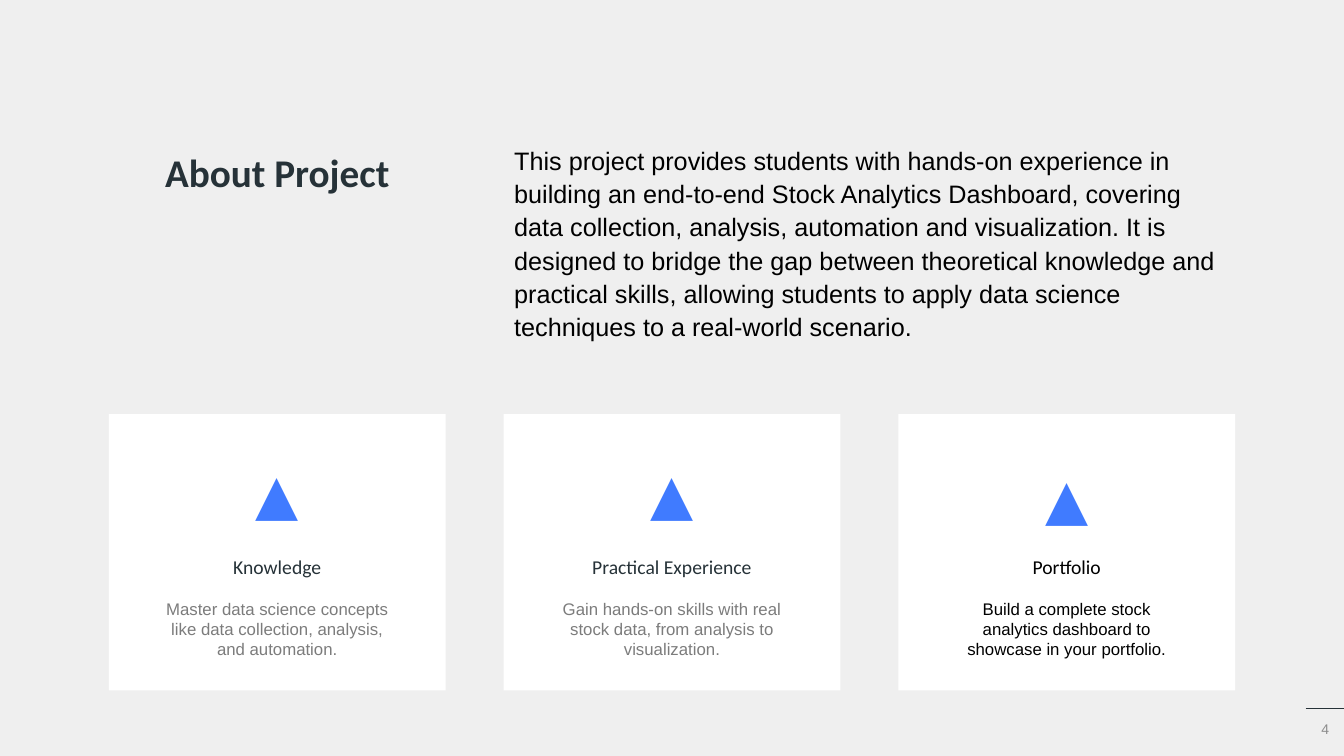
"""Build the "About Project" slide with three outcome cards."""
from dataclasses import dataclass

from lxml import etree
from pptx import Presentation
from pptx.dml import color
from pptx.enum import shapes, text
from pptx.oxml import ns
from pptx.util import Inches, Pt


@dataclass(frozen=True)
class Theme:
    backdrop: str = "EFEFEF"
    card: str = "FFFFFF"
    accent: str = "407BFF"
    heading: str = "263238"
    muted: str = "7C7C7C"
    number: str = "8C8C8C"
    black: str = "000000"
    heading_font: str = "Calibri"
    body_font: str = "Arial"
    title_size: int = 28
    intro_size: int = 18
    icon_size: int = 40
    label_size: int = 14
    detail_size: int = 12
    number_size: int = 10


theme = Theme()
rgb = color.RGBColor.from_string
align = text.PP_ALIGN


def style(paragraph, font, size, tint, alignment, bold=False, spacing=1.0):
    paragraph.alignment = alignment
    paragraph.line_spacing = spacing
    for run in paragraph.runs:
        run.font.name = font
        run.font.size = Pt(size)
        run.font.bold = bold
        run.font.color.rgb = rgb(tint)


def place(shape, left, top, width, height, anchor=text.MSO_ANCHOR.TOP):
    shape.left, shape.top = Inches(left), Inches(top)
    shape.width, shape.height = Inches(width), Inches(height)
    frame = shape.text_frame
    frame.word_wrap = True
    frame.auto_size = text.MSO_AUTO_SIZE.NONE
    frame.vertical_anchor = anchor
    return frame


deck = Presentation()
deck.slide_width, deck.slide_height = Inches(13.33), Inches(7.5)
slide = deck.slides.add_slide(deck.slide_layouts[1])
slide.background.fill.solid()
slide.background.fill.fore_color.rgb = rgb(theme.backdrop)

title = place(slide.shapes.title, 1.24, 1.36, 3.02, 0.75, text.MSO_ANCHOR.MIDDLE)
title.text = "About Project"
style(title.paragraphs[0], theme.heading_font, theme.title_size, theme.heading,
      align.CENTER, bold=True, spacing=0.9)

intro = place(slide.placeholders[1], 5, 1.36, 7.25, 2.29)
intro.text = (
    "This project provides students with hands-on experience in building an "
    "end-to-end Stock Analytics Dashboard, covering data collection, analysis, "
    "automation and visualization. It is designed to bridge the gap between "
    "theoretical knowledge and practical skills, allowing students to apply data "
    "science techniques to a real-world scenario."
)
summary = intro.paragraphs[0]
style(summary, theme.body_font, theme.intro_size, theme.black, align.LEFT, spacing=1.1)
summary.space_before = summary.space_after = Pt(6)
summary_format = summary._p.get_or_add_pPr()
summary_format.set("marL", "0")
summary_format.set("indent", "0")
etree.SubElement(summary_format, ns.qn("a:buNone"))

outcomes = [
    ("Knowledge",
     "Master data science concepts like data collection, analysis, and automation.",
     theme.heading, theme.muted, 4.58),
    ("Practical Experience",
     "Gain hands-on skills with real stock data, from analysis to visualization.",
     theme.heading, theme.muted, 4.58),
    ("Portfolio",
     "Build a complete stock analytics dashboard to showcase in your portfolio.",
     theme.black, theme.black, 4.62),
]
cards_left, cards_right, card_width = 1.08, 12.25, 3.34
card_step = (cards_right - cards_left - card_width) / (len(outcomes) - 1)
icon_width, caption_width = 1.14, 2.41

for index, (label, detail, label_tint, detail_tint, icon_top) in enumerate(outcomes):
    card_left = cards_left + index * card_step
    center = card_left + card_width / 2

    card = slide.shapes.add_shape(
        shapes.MSO_SHAPE.RECTANGLE,
        Inches(card_left), Inches(4.11), Inches(card_width), Inches(2.74))
    card.shadow.inherit = False
    card.fill.solid()
    card.fill.fore_color.rgb = rgb(theme.card)
    card.line.fill.background()

    icon = place(slide.shapes.add_textbox(0, 0, 0, 0),
                 center - icon_width / 2, icon_top, icon_width, 0.84)
    icon.text = "▲"
    style(icon.paragraphs[0], theme.heading_font, theme.icon_size, theme.accent,
          align.CENTER, bold=True, spacing=0.9)

    caption = place(slide.shapes.add_textbox(0, 0, 0, 0),
                    center - caption_width / 2, 5.46, caption_width, 1.14)
    caption.text = f"{label}\n{detail}"
    heading, description = caption.paragraphs
    style(heading, theme.heading_font, theme.label_size, label_tint, align.CENTER)
    style(description, theme.body_font, theme.detail_size, detail_tint, align.CENTER)
    heading.space_after = Pt(14)

footer_rule = slide.shapes.add_connector(
    shapes.MSO_CONNECTOR.STRAIGHT,
    Inches(12.95), Inches(7.03), Inches(13.33), Inches(7.03))
footer_rule.line.color.rgb = rgb(theme.heading)
footer_rule.line.width = Pt(0.5)
etree.SubElement(footer_rule._element.spPr, ns.qn("a:effectLst"))

page_number = place(slide.shapes.add_textbox(0, 0, 0, 0),
                    12.61, 7.03, 0.67, 0.4, text.MSO_ANCHOR.MIDDLE)
page_number.text = "4"
style(page_number.paragraphs[0], theme.body_font, theme.number_size, theme.number,
      align.RIGHT)

deck.save("out.pptx")
